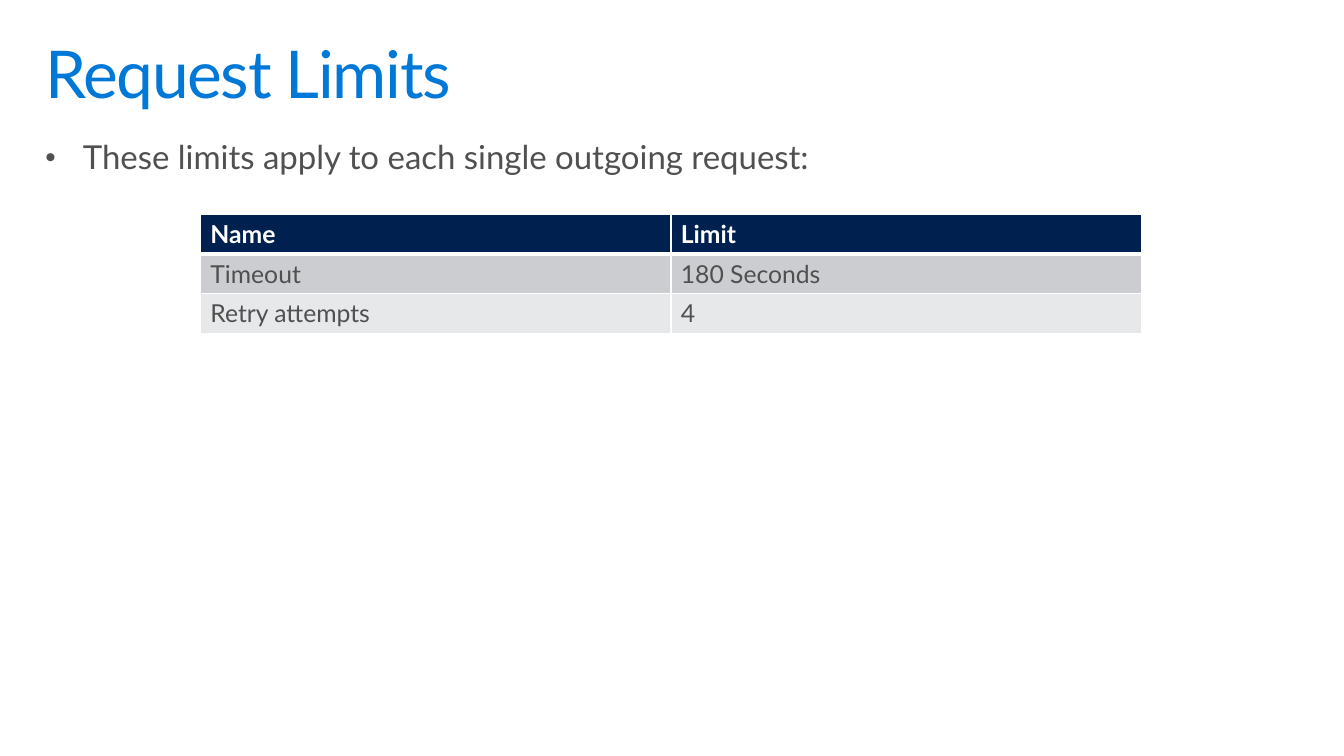
from dataclasses import dataclass

import pptx
import pptx.dml.color
import pptx.enum.text
import pptx.oxml.ns
import pptx.util
from lxml import etree

Inches = pptx.util.Inches
Pt = pptx.util.Pt
qn = pptx.oxml.ns.qn


@dataclass(frozen=True)
class Theme:
    font: str = "Lato"
    title_color: str = "0078D7"
    text_color: str = "505050"
    header_fill: str = "002050"
    band_fills: tuple = ("CCCDD0", "E7E8E9")
    white: str = "FFFFFF"
    title_size: int = 48
    body_size: int = 24
    table_size: int = 18
    line_spacing: float = 0.9


THEME = Theme()
LIMITS = [("Name", "Limit"), ("Timeout", "180 Seconds"), ("Retry attempts", "4")]


def rgb(color):
    return pptx.dml.color.RGBColor.from_string(color)


def style_paragraph(paragraph, size, color, bold=False):
    paragraph.font.name = THEME.font
    paragraph.font.size = Pt(size)
    paragraph.font.color.rgb = rgb(color)
    paragraph.font.bold = bold


def add_text_line(slide, box, text):
    """Place one line of text in a box and return its paragraph."""
    shape = slide.shapes.add_textbox(*(Inches(length) for length in box))
    frame = shape.text_frame
    frame.word_wrap = True
    frame.vertical_anchor = pptx.enum.text.MSO_ANCHOR.TOP
    frame.margin_left = frame.margin_right = Inches(0.16)
    frame.margin_top = frame.margin_bottom = Inches(0.1)
    paragraph = frame.paragraphs[0]
    paragraph.text = text
    paragraph.line_spacing = THEME.line_spacing
    return paragraph


def add_title(slide, box, text):
    paragraph = add_text_line(slide, box, text)
    style_paragraph(paragraph, THEME.title_size, THEME.title_color)
    # Tighten the letters by one point
    paragraph.runs[0].font._element.set("spc", "-100")


def add_bullet(slide, box, text):
    paragraph = add_text_line(slide, box, text)
    properties = paragraph._p.get_or_add_pPr()
    indent = Inches(0.38)
    properties.set("marL", str(indent))
    properties.set("indent", str(-indent))
    etree.SubElement(properties, qn("a:buSzPct"), val="90000")
    etree.SubElement(properties, qn("a:buFont"), typeface="Arial")
    etree.SubElement(properties, qn("a:buChar"), char="•")
    style_paragraph(paragraph, THEME.body_size, THEME.text_color)


def set_borders(cell, widths):
    """Draw white borders; widths in points for left, right, top, bottom."""
    properties = cell._tc.get_or_add_tcPr()
    for side, width in zip("LRTB", widths):
        line = etree.SubElement(properties, qn(f"a:ln{side}"), w=str(Pt(width)))
        fill = etree.SubElement(line, qn("a:solidFill"))
        etree.SubElement(fill, qn("a:srgbClr"), val=THEME.white)


def add_limits_table(slide, box, rows):
    frame = slide.shapes.add_table(
        len(rows), len(rows[0]), *(Inches(length) for length in box))
    for row_index, row in enumerate(rows):
        is_header = row_index == 0
        if is_header:
            fill, color = THEME.header_fill, THEME.white
        else:
            fill = THEME.band_fills[(row_index - 1) % len(THEME.band_fills)]
            color = THEME.text_color
        # A thicker line divides the header from the rows below
        top = 3 if row_index == 1 else 1
        bottom = 3 if is_header else 1
        for column_index, text in enumerate(row):
            cell = frame.table.cell(row_index, column_index)
            cell.text = text
            set_borders(cell, (1, 1, top, bottom))
            cell.fill.solid()
            cell.fill.fore_color.rgb = rgb(fill)
            style_paragraph(cell.text_frame.paragraphs[0],
                            THEME.table_size, color, bold=is_header)


def main():
    presentation = pptx.Presentation()
    presentation.slide_width = Inches(13.6)
    presentation.slide_height = Inches(7.65)
    slide = presentation.slides.add_slide(presentation.slide_layouts[6])

    add_title(slide, (0.3, 0.32, 13, 1), "Request Limits")
    add_bullet(slide, (0.3, 1.33, 13, 0.6),
               "These limits apply to each single outgoing request:")
    add_limits_table(slide, (2.03, 2.17, 9.52, 1.2), LIMITS)

    presentation.save("out.pptx")


if __name__ == "__main__":
    main()
